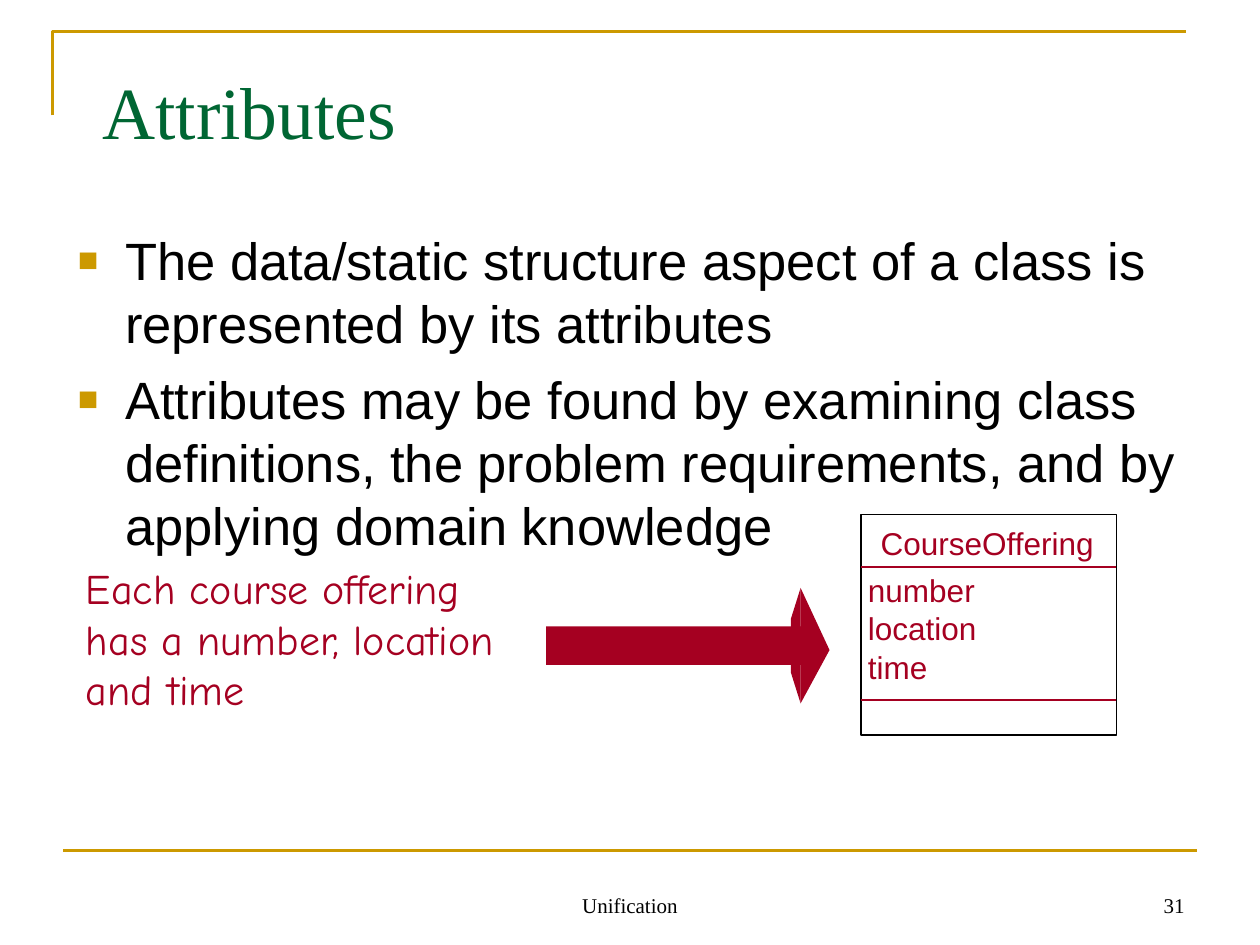
from dataclasses import dataclass

from lxml import etree
from pptx import Presentation
from pptx.dml.color import RGBColor
from pptx.enum.shapes import MSO_CONNECTOR, MSO_SHAPE
from pptx.enum.text import MSO_ANCHOR, PP_ALIGN
from pptx.oxml.ns import qn
from pptx.util import Pt

LEFT, CENTER, RIGHT = PP_ALIGN.LEFT, PP_ALIGN.CENTER, PP_ALIGN.RIGHT
TOP, MIDDLE, BOTTOM = MSO_ANCHOR.TOP, MSO_ANCHOR.MIDDLE, MSO_ANCHOR.BOTTOM
STRAIGHT, RECTANGLE = MSO_CONNECTOR.STRAIGHT, MSO_SHAPE.RECTANGLE


@dataclass(frozen=True)
class Theme:
    gold: RGBColor = RGBColor(0xCC, 0x99, 0x00)
    green: RGBColor = RGBColor(0x00, 0x66, 0x33)
    red: RGBColor = RGBColor(0xA5, 0x00, 0x21)
    black: RGBColor = RGBColor(0, 0, 0)
    serif: str = "Times New Roman"
    sans: str = "Arial"
    casual: str = "Comic Neue"
    title: int = 42
    body: int = 30
    note: int = 24
    label: int = 18
    footer: int = 12


THEME = Theme()

prs = Presentation()
prs.slide_width, prs.slide_height = Pt(720), Pt(540)
slide = prs.slides.add_slide(prs.slide_layouts[6])
shapes = slide.shapes


def write(text, box, *, size, font, color, align=LEFT, anchor=TOP,
          inset=(0, 0), leading=1.2, gap=0, bullet=None):
    """Add a text box with one paragraph per line of text."""
    frame = shapes.add_textbox(*map(Pt, box)).text_frame
    frame.word_wrap = True
    frame.vertical_anchor = anchor
    frame.margin_left = frame.margin_right = Pt(inset[0])
    frame.margin_top = frame.margin_bottom = Pt(inset[1])
    frame.text = text
    for index, paragraph in enumerate(frame.paragraphs):
        paragraph.alignment = align
        if leading:
            paragraph.line_spacing = Pt(size * leading)
        if index and gap:
            paragraph.space_before = Pt(gap)
        if bullet:
            props = paragraph._p.get_or_add_pPr()
            props.set("marL", str(Pt(27)))
            props.set("indent", str(-Pt(27)))
            bullet_color = etree.SubElement(props, qn("a:buClr"))
            etree.SubElement(bullet_color, qn("a:srgbClr"), val=str(THEME.gold))
            etree.SubElement(props, qn("a:buSzPct"), val="65000")
            etree.SubElement(props, qn("a:buFont"), typeface=font)
            etree.SubElement(props, qn("a:buChar"), char=bullet)
        for run in paragraph.runs:
            run.font.size = Pt(size)
            run.font.name = font
            run.font.color.rgb = color


def rule(x1, x2, y, color, width):
    line = shapes.add_connector(STRAIGHT, Pt(x1), Pt(y), Pt(x2), Pt(y))
    line.line.color.rgb = color
    line.line.width = Pt(width)
    etree.SubElement(line._element.spPr, qn("a:effectLst"))


# Frame of the page
corner = shapes.build_freeform(Pt(30), Pt(66))
corner.add_line_segments([(Pt(30), Pt(18)), (Pt(678), Pt(18))], close=False)
frame_corner = corner.convert_to_shape()
frame_corner.shadow.inherit = False
frame_corner.fill.background()
frame_corner.line.color.rgb = THEME.gold
frame_corner.line.width = Pt(1.5)
rule(36, 684, 486, THEME.gold, 1.5)

# Title and main points
write("Attributes", (54, 36, 513, 54), size=THEME.title, font=THEME.serif,
      color=THEME.green, inset=(4.5, 1.5))
write("The data/static structure aspect of a class is represented by its attributes\n"
      "Attributes may be found by examining class definitions, the problem "
      "requirements, and by applying domain knowledge",
      (36, 126, 648, 356), size=THEME.body, font=THEME.sans, color=THEME.black,
      inset=(8.5, 4.25), gap=7.5, bullet="■")

# Example and the arrow to its class
write("Each course offering\nhas a number, location\nand time",
      (42, 318, 258, 93.6), size=THEME.note, font=THEME.casual,
      color=THEME.red, anchor=MIDDLE, inset=(7.2, 3.6))

arrow_barb = [(457.5, 336), (457.5, 402), (452, 384.5), (452, 353.5)]
arrow_body = [(457.5, 358), (457.5, 336), (474, 371.5), (457.5, 402),
              (457.5, 380), (312, 380), (312, 358)]
for outline in (arrow_barb, arrow_body):
    start, *corners = [(Pt(x), Pt(y)) for x, y in outline]
    builder = shapes.build_freeform(*start)
    builder.add_line_segments(corners)
    arrow_part = builder.convert_to_shape()
    arrow_part.shadow.inherit = False
    arrow_part.fill.solid()
    arrow_part.fill.fore_color.rgb = THEME.red
    arrow_part.line.fill.background()

# Class diagram
class_box = shapes.add_shape(RECTANGLE, Pt(492), Pt(294), Pt(146), Pt(126))
class_box.shadow.inherit = False
class_box.fill.background()
class_box.line.color.rgb = THEME.black
class_box.line.width = Pt(1)
for divider in (324, 400):
    rule(492, 638, divider, THEME.red, 1)

label = dict(size=THEME.label, font=THEME.sans, color=THEME.red)
write("CourseOffering", (503.3, 299.5, 130, 21.6), **label)
for row, attribute in enumerate(["number", "location", "time"]):
    write(attribute, (496, 326.2 + 22 * row, 72, 21.6), **label)

# Footer
footer = dict(size=THEME.footer, font=THEME.serif, color=THEME.black,
              anchor=BOTTOM, inset=(7.2, 3.6), leading=None)
write("Unification", (246, 492, 228, 36), align=CENTER, **footer)
write("31", (516, 492, 168, 36), align=RIGHT, **footer)

prs.save("out.pptx")
